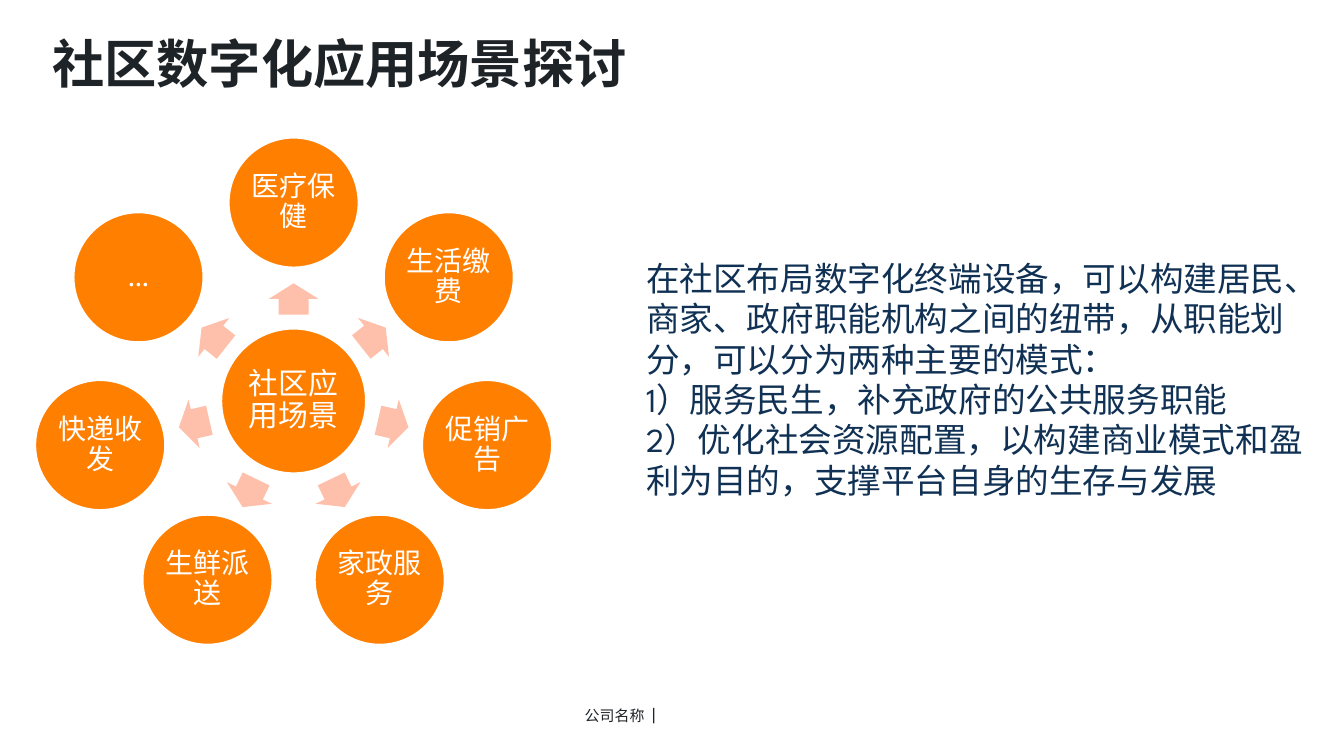
from dataclasses import dataclass
from math import cos, radians, sin

from pptx import Presentation
from pptx.dml.color import RGBColor
from pptx.enum.shapes import MSO_SHAPE
from pptx.enum.text import MSO_ANCHOR, PP_ALIGN
from pptx.util import Cm, Pt


@dataclass(frozen=True)
class Theme:
    font: str = "League Spartan"
    dark: RGBColor = RGBColor(0x1E, 0x23, 0x27)
    navy: RGBColor = RGBColor(0x10, 0x31, 0x54)
    orange: RGBColor = RGBColor(0xFF, 0x7F, 0x01)
    peach: RGBColor = RGBColor(0xFF, 0xC0, 0xAB)
    white: RGBColor = RGBColor(0xFF, 0xFF, 0xFF)
    title_size: Pt = Pt(28)
    body_size: Pt = Pt(18)
    hub_size: Pt = Pt(16)
    scene_size: Pt = Pt(15)
    footer_size: Pt = Pt(8)
    divider_size: Pt = Pt(10)


THEME = Theme()

# Radial diagram, in centimetres
CENTER_X, CENTER_Y = 5.55, 7.58
HUB_DIAMETER, SCENE_DIAMETER = 2.77, 2.49
SCENE_ORBIT, ARROW_ORBIT = 3.75, 1.93
ARROW_LENGTH, ARROW_WIDTH = 0.59, 0.94

SCENES = ["医疗保健", "生活缴费", "促销广告", "家政服务", "生鲜派送", "快递收发", "…"]
BODY = [
    "在社区布局数字化终端设备，可以构建居民、商家、政府职能机构之间的纽带，"
    "从职能划分，可以分为两种主要的模式：",
    "1）服务民生，补充政府的公共服务职能",
    "2）优化社会资源配置，以构建商业模式和盈利为目的，支撑平台自身的生存与发展",
]


def style_font(font, size, color, bold=False):
    font.name = THEME.font
    font.size = size
    font.color.rgb = color
    font.bold = bold


def add_text(slide, left, top, width, height, lines, size, color, bold=False):
    box = slide.shapes.add_textbox(Cm(left), Cm(top), Cm(width), Cm(height))
    frame = box.text_frame
    frame.word_wrap = True
    frame.text = "\n".join(lines)
    for paragraph in frame.paragraphs:
        style_font(paragraph.font, size, color, bold)
    return frame


def add_centered_shape(slide, kind, x, y, width, height, fill):
    shape = slide.shapes.add_shape(
        kind, Cm(x - width / 2), Cm(y - height / 2), Cm(width), Cm(height))
    shape.shadow.inherit = False
    shape.fill.solid()
    shape.fill.fore_color.rgb = fill
    return shape


def add_circle(slide, x, y, diameter, text, size):
    circle = add_centered_shape(
        slide, MSO_SHAPE.OVAL, x, y, diameter, diameter, THEME.orange)
    circle.line.color.rgb = THEME.white
    circle.line.width = Pt(2)
    frame = circle.text_frame
    frame.word_wrap = True
    frame.vertical_anchor = MSO_ANCHOR.MIDDLE
    frame.margin_left = frame.margin_right = Cm(0.05)
    frame.margin_top = frame.margin_bottom = Cm(0.05)
    frame.text = text
    paragraph = frame.paragraphs[0]
    paragraph.alignment = PP_ALIGN.CENTER
    paragraph.line_spacing = 0.9
    style_font(paragraph.font, size, THEME.white)


def add_arrow(slide, x, y, angle):
    arrow = add_centered_shape(
        slide, MSO_SHAPE.RIGHT_ARROW, x, y, ARROW_LENGTH, ARROW_WIDTH, THEME.peach)
    arrow.line.fill.background()
    arrow.adjustments[0] = 0.6
    arrow.adjustments[1] = 0.5
    arrow.rotation = angle % 360


def on_orbit(radius, angle):
    return (CENTER_X + radius * cos(radians(angle)),
            CENTER_Y + radius * sin(radians(angle)))


def add_radial_diagram(slide):
    add_circle(slide, CENTER_X, CENTER_Y, HUB_DIAMETER, "社区应用场景", THEME.hub_size)
    # Scenes run clockwise from the top
    for index, scene in enumerate(SCENES):
        angle = -90 + index * 360 / len(SCENES)
        add_arrow(slide, *on_orbit(ARROW_ORBIT, angle), angle)
        add_circle(slide, *on_orbit(SCENE_ORBIT, angle), SCENE_DIAMETER,
                   scene, THEME.scene_size)


def add_footer(slide):
    frame = add_text(slide, 10.8, 13.03, 4.19, 0.81, ["公司名称 "],
                     THEME.footer_size, THEME.dark)
    paragraph = frame.paragraphs[0]
    paragraph.line_spacing = 1.3
    divider = paragraph.add_run()
    divider.text = " |"
    divider.font.size = THEME.divider_size


def main():
    presentation = Presentation()
    presentation.slide_width = Cm(25.4)
    presentation.slide_height = Cm(14.29)
    slide = presentation.slides.add_slide(presentation.slide_layouts[6])

    add_footer(slide)
    # Title
    add_text(slide, 0.74, 0.46, 12.32, 1.45, ["社区数字化应用场景探讨"],
             THEME.title_size, THEME.dark, bold=True)
    add_radial_diagram(slide)
    # Explanation
    add_text(slide, 11.96, 4.75, 12.95, 4.88, BODY, THEME.body_size, THEME.navy)

    presentation.save("out.pptx")


if __name__ == "__main__":
    main()
